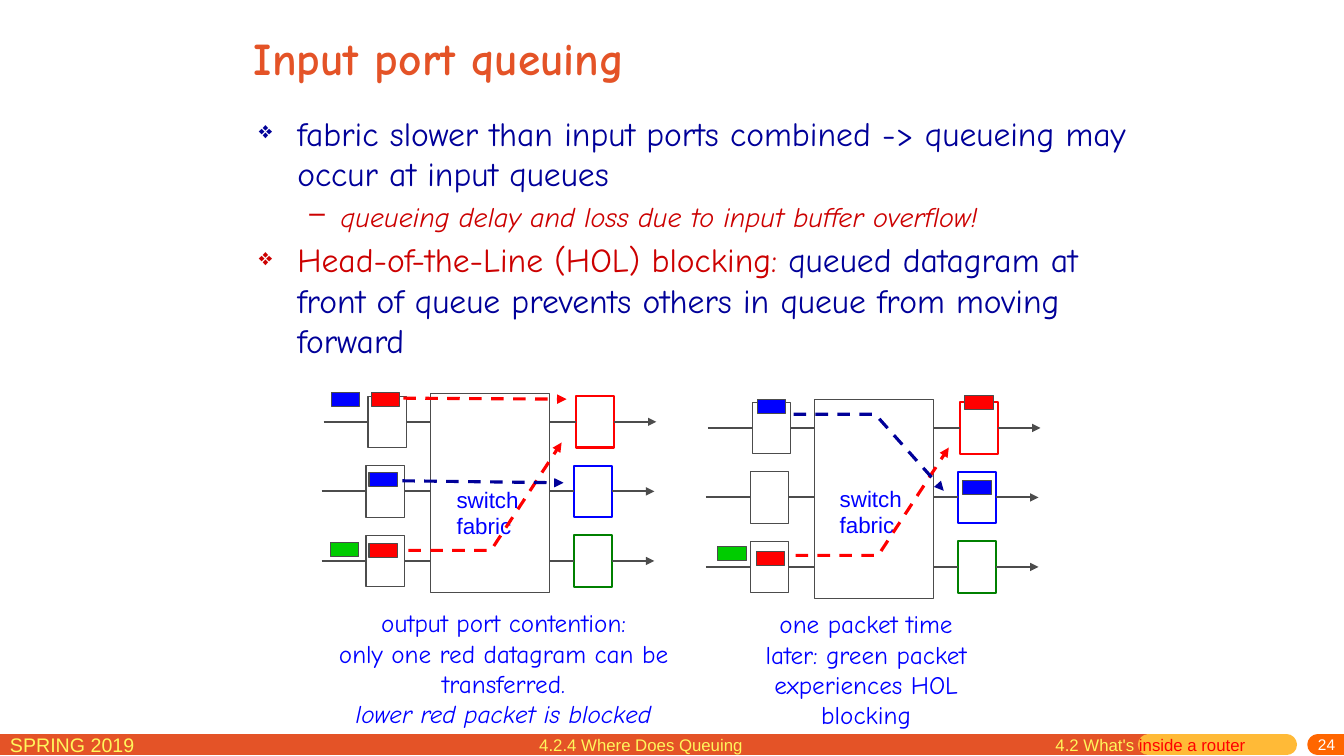
from lxml import etree
from pptx import Presentation
from pptx import util as u
from pptx.dml.color import RGBColor
from pptx.enum import dml, shapes, text
from pptx.oxml.ns import qn

GREY, RED, BLUE, NAVY = "4C4C4C", "FF0000", "0000FF", "000099"
CRIMSON, LIME, ORANGE, YELLOW = "CC0000", "00CC00", "E45327", "FFF65C"
COMIC, ARIAL = "Comic Neue", "Arial"
LEFT, CENTER, RIGHT = text.PP_ALIGN.LEFT, text.PP_ALIGN.CENTER, text.PP_ALIGN.RIGHT

BARS = [(0, 11.39, ORANGE), (11.39, 12.76, "FFBA37"), (13.07, 13.33, "FF6600")]
FOOTER = [
    ((0, 7.22, 2.29, 0.31), 14, [("SPRING 2019", YELLOW)]),
    ((10.37, 7.24, 2.2, 0.31), 12, [("4.2 What's ", YELLOW), ("inside a router", RED)]),
    ((5.25, 7.24, 2.76, 0.31), 12, [("4.2.4 Where Does Queuing", YELLOW)]),
]
BODY = [
    (0, 24, "❖", 0.38, 0.38, [
        ("fabric slower than input ports combined -> queueing may occur at input queues", NAVY)]),
    (1, 20, "–", 0.81, 0.31, [
        ("queueing delay and loss due to input buffer overflow!", CRIMSON, True)]),
    (0, 24, "❖", 0.38, 0.38, [
        ("Head-of-the-Line (HOL) blocking:", CRIMSON),
        (" queued datagram at front of queue prevents others in queue from moving forward", NAVY)]),
]
PORTS = [(0.02, RED), (0, BLUE), (0, "008000")]
STAGES = [
    {
        "at": (3.19, 3.9),
        "label": (4.43, 4.77),
        "packets": [(3.68, 3.89, RED), (3.66, 4.69, BLUE), (3.66, 5.39, RED),
                    (3.29, 3.89, BLUE), (3.28, 5.38, LIME)],
        "routes": [(RED, [(4, 3.95), (5.62, 3.96)]),
                   (RED, [(4.05, 5.46), (4.87, 5.46), (5.57, 4.39)]),
                   (NAVY, [(3.99, 4.77), (5.59, 4.79)])],
        "box": (3.14, 5.98, 3.71, 1.3),
        "caption": [[("output port contention:", BLUE)],
                    [("only one red datagram can be transferred.", BLUE), None,
                     ("lower red packet is blocked", BLUE, True)]],
    },
    {
        "at": (7, 3.96),
        "label": (8.23, 4.76),
        "packets": [(9.57, 3.92, RED), (7.51, 3.96, BLUE), (7.5, 5.47, RED),
                    (7.12, 5.42, LIME), (9.55, 4.77, BLUE)],
        "routes": [(RED, [(7.89, 5.51), (8.71, 5.51), (9.41, 4.44)]),
                   (NAVY, [(7.87, 4.11), (8.68, 4.11), (9.36, 4.87)])],
        "box": (7.37, 5.99, 2.44, 1.3),
        "caption": [[("one packet time later: green packet experiences HOL blocking", BLUE)]],
    },
]
PITCH, PORT_W, PORT_H = 0.69, 0.38, 0.51

deck = Presentation()
deck.slide_width, deck.slide_height = u.Inches(13.33), u.Inches(7.5)
slide = deck.slides.add_slide(deck.slide_layouts[6])
items = slide.shapes


def color(code):
    return RGBColor.from_string(code)


def inches(vals):
    return [u.Inches(v) for v in vals]


def stroke(item, code, width, dash=False, arrow=False, cap=None):
    item.line.color.rgb = color(code)
    item.line.width = u.Pt(width)
    if dash:
        item.line.dash_style = dml.MSO_LINE.DASH
    edge = item.line._get_or_add_ln()
    if cap:
        edge.set("cap", cap)
    if arrow:
        etree.SubElement(edge, qn("a:tailEnd"), type="triangle")


def rect(at, line, width=0.75, fill="FFFFFF"):
    item = items.add_shape(shapes.MSO_SHAPE.RECTANGLE, *inches(at))
    item.shadow.inherit = False
    item.fill.solid()
    item.fill.fore_color.rgb = color(fill)
    stroke(item, line, width)
    return item


def link(start, end, code=GREY, width=1.5, **style):
    item = items.add_connector(shapes.MSO_CONNECTOR.STRAIGHT, *inches(start + end))
    stroke(item, code, width, **style)
    etree.SubElement(item._element.spPr, qn("a:effectLst"))
    return item


def route(code, pts):
    style = dict(width=2.25, dash=True, arrow=True)
    if len(pts) == 2:
        link(*pts, code=code, **style)
        return
    pen = items.build_freeform(*inches(pts[0]))
    pen.add_line_segments([inches(p) for p in pts[1:]], close=False)
    item = pen.convert_to_shape()
    item.shadow.inherit = False
    item.fill.background()
    stroke(item, code, **style)


def frame(at, wrap=True, anchor=text.MSO_ANCHOR.TOP):
    area = items.add_textbox(*inches(at)).text_frame
    area.word_wrap = wrap
    area.vertical_anchor = anchor
    return area


def write(para, runs, size, font, align=LEFT, bold=False):
    para.alignment = align
    for part in runs:
        if part is None:
            para.add_line_break()
            continue
        words, code, *slant = part
        run = para.add_run()
        run.text = words
        run.font.size, run.font.name = u.Pt(size), font
        run.font.bold, run.font.italic = bold, bool(slant)
        run.font.color.rgb = color(code)


def fill(area, paras, *style):
    for i, runs in enumerate(paras):
        para = area.add_paragraph() if i else area.paragraphs[0]
        write(para, runs, *style)


def bullet(para, mark, left, hang):
    props = para._p.get_or_add_pPr()
    props.set("marL", str(u.Inches(left)))
    props.set("indent", str(-u.Inches(hang)))
    if mark == "❖":
        etree.SubElement(props, qn("a:buSzPct"), val="70000")
    etree.SubElement(props, qn("a:buChar"), char=mark)


def fabric(x, y):
    rect((x + 1.08, y, 1.18, 1.98), GREY)
    for row, (shift, code) in enumerate(PORTS):
        px, top = x + shift, y + 0.03 + row * PITCH
        mid = top + PORT_H / 2
        port = rect((px + 0.44, top, PORT_W, PORT_H), GREY)
        out = rect((px + 2.5, top, PORT_W, PORT_H), code, 1.5)
        link((px, mid), (px + 0.44, mid)).end_connect(port, 1)
        link((px + 0.82, mid), (x + 1.08, mid)).begin_connect(port, 3)
        link((x + 2.26, mid), (px + 2.5, mid)).end_connect(out, 1)
        link((px + 2.88, mid), (px + 3.3, mid), arrow=True).begin_connect(out, 3)


for start, end, code in BARS:
    link((start, 7.39), (end, 7.39), code, 15, cap="rnd")

page = frame((10.75, 7.32, 2.59, 0.18), anchor=text.MSO_ANCHOR.MIDDLE)
page.margin_top, page.margin_bottom = 0, u.Inches(0.05)
fill(page, [[("24", "FFFFFF")]], 11, ARIAL, RIGHT)

title = frame((2.42, 0.32, 8.5, 0.5), anchor=text.MSO_ANCHOR.MIDDLE)
fill(title, [[("Input port queuing", ORANGE)]], 32.4, COMIC, LEFT, True)

body = frame((2.47, 1.07, 8.92, 2.9))
for i, (level, size, mark, left, hang, runs) in enumerate(BODY):
    para = body.add_paragraph() if i else body.paragraphs[0]
    para.level = level
    para.space_before = u.Pt(size * 0.2)
    write(para, runs, size, COMIC)
    bullet(para, mark, left, hang)

for stage in STAGES:
    fabric(*stage["at"])
    label = frame(stage["label"] + (0.82, 0.64), wrap=False)
    fill(label, [[("switch", BLUE)], [("fabric", BLUE)]], 16, ARIAL)
    for x, y, code in stage["packets"]:
        rect((x, y, 0.28, 0.14), GREY, fill=code)
    for code, pts in stage["routes"]:
        route(code, pts)
    fill(frame(stage["box"]), stage["caption"], 18, COMIC, CENTER)

for at, size, runs in FOOTER:
    fill(frame(at), [runs], size, ARIAL)

deck.save("out.pptx")
